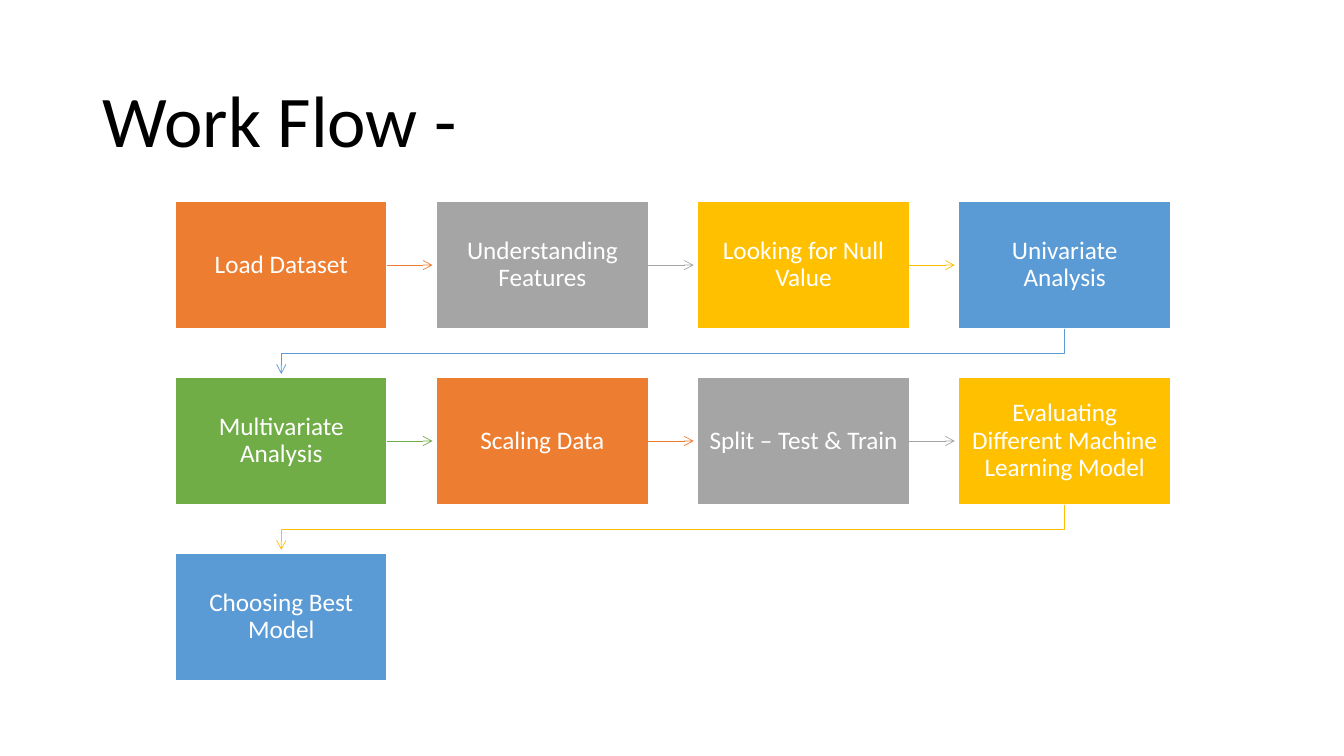
from lxml.etree import SubElement
from pptx import Presentation
from pptx.dml.color import RGBColor
from pptx.enum.shapes import MSO_CONNECTOR as Connector, MSO_SHAPE as Shape
from pptx.enum.text import MSO_ANCHOR as Anchor, PP_ALIGN as Align
from pptx.oxml.ns import qn
from pptx.util import Inches, Pt

COLORS = {
    "orange": "ED7D31",
    "gray": "A5A5A5",
    "yellow": "FFC000",
    "blue": "5B9BD5",
    "green": "70AD47",
    "white": "FFFFFF",
    "black": "000000",
}
STEPS = [
    ("Load Dataset", "orange"),
    ("Understanding Features", "gray"),
    ("Looking for Null Value", "yellow"),
    ("Univariate Analysis", "blue"),
    ("Multivariate Analysis", "green"),
    ("Scaling Data", "orange"),
    ("Split – Test & Train", "gray"),
    ("Evaluating Different Machine Learning Model", "yellow"),
    ("Choosing Best Model", "blue"),
]
COLUMNS = 4
LEFT, TOP = 1.74, 2
STEP_WIDTH, STEP_HEIGHT = 2.1, 1.26
COLUMN_PITCH, ROW_PITCH = 2.59, 1.745
ARROW_LENGTH = 0.45
TURN_DEPTH = 0.25


class WorkFlowSlide:
    font = "Calibri"

    def __init__(self, presentation):
        self.slide = presentation.slides.add_slide(presentation.slide_layouts[5])

    def color(self, name):
        return RGBColor.from_string(COLORS[name])

    def set_text(self, frame, text, size, color, align):
        frame.text = text
        frame.word_wrap = True
        frame.vertical_anchor = Anchor.MIDDLE
        paragraph = frame.paragraphs[0]
        paragraph.alignment = align
        paragraph.line_spacing = 0.9
        paragraph.font.name = self.font
        paragraph.font.size = Pt(size)
        paragraph.font.color.rgb = self.color(color)

    def title(self, text):
        heading = self.slide.shapes.title
        heading.left, heading.top = Inches(0.92), Inches(0.61)
        heading.width, heading.height = Inches(11.5), Inches(1.24)
        self.set_text(heading.text_frame, text, 52, "black", Align.LEFT)

    def step(self, text, color, left, top):
        box = self.slide.shapes.add_shape(
            Shape.RECTANGLE, Inches(left), Inches(top),
            Inches(STEP_WIDTH), Inches(STEP_HEIGHT))
        box.shadow.inherit = False
        box.fill.solid()
        box.fill.fore_color.rgb = self.color(color)
        box.line.color.rgb = self.color("white")
        box.line.width = Pt(1)
        frame = box.text_frame
        frame.margin_left = frame.margin_right = Inches(0.1)
        frame.margin_top = frame.margin_bottom = Inches(0.11)
        self.set_text(frame, text, 18, "white", Align.CENTER)

    def arrow_style(self, arrow, color):
        arrow.line.color.rgb = self.color(color)
        arrow.line.width = Pt(0.5)
        properties = arrow.element.spPr
        SubElement(properties.find(qn("a:ln")), qn("a:tailEnd"), type="arrow")

    def straight_arrow(self, color, left, y):
        arrow = self.slide.shapes.add_connector(
            Connector.STRAIGHT, Inches(left), Inches(y),
            Inches(left + ARROW_LENGTH), Inches(y))
        self.arrow_style(arrow, color)
        SubElement(arrow.element.spPr, qn("a:effectLst"))

    def return_arrow(self, color, start_x, end_x, top):
        turn = top + TURN_DEPTH
        corners = [(start_x, turn), (end_x, turn), (end_x, top + ARROW_LENGTH)]
        route = self.slide.shapes.build_freeform(Inches(start_x), Inches(top))
        route.add_line_segments(
            [(Inches(x), Inches(y)) for x, y in corners], close=False)
        arrow = route.convert_to_shape()
        arrow.fill.background()
        self.arrow_style(arrow, color)
        arrow.shadow.inherit = False


def main():
    presentation = Presentation()
    presentation.slide_width = Inches(13.33)
    presentation.slide_height = Inches(7.5)
    work_flow = WorkFlowSlide(presentation)
    work_flow.title("Work Flow -")
    for index, (text, color) in enumerate(STEPS):
        row, column = divmod(index, COLUMNS)
        left = LEFT + column * COLUMN_PITCH
        top = TOP + row * ROW_PITCH
        work_flow.step(text, color, left, top)
        if index == len(STEPS) - 1:
            continue
        if column < COLUMNS - 1:
            work_flow.straight_arrow(color, left + STEP_WIDTH, top + STEP_HEIGHT / 2)
        else:
            work_flow.return_arrow(color, left + STEP_WIDTH / 2,
                                   LEFT + STEP_WIDTH / 2, top + STEP_HEIGHT)
    presentation.save("out.pptx")


if __name__ == "__main__":
    main()
